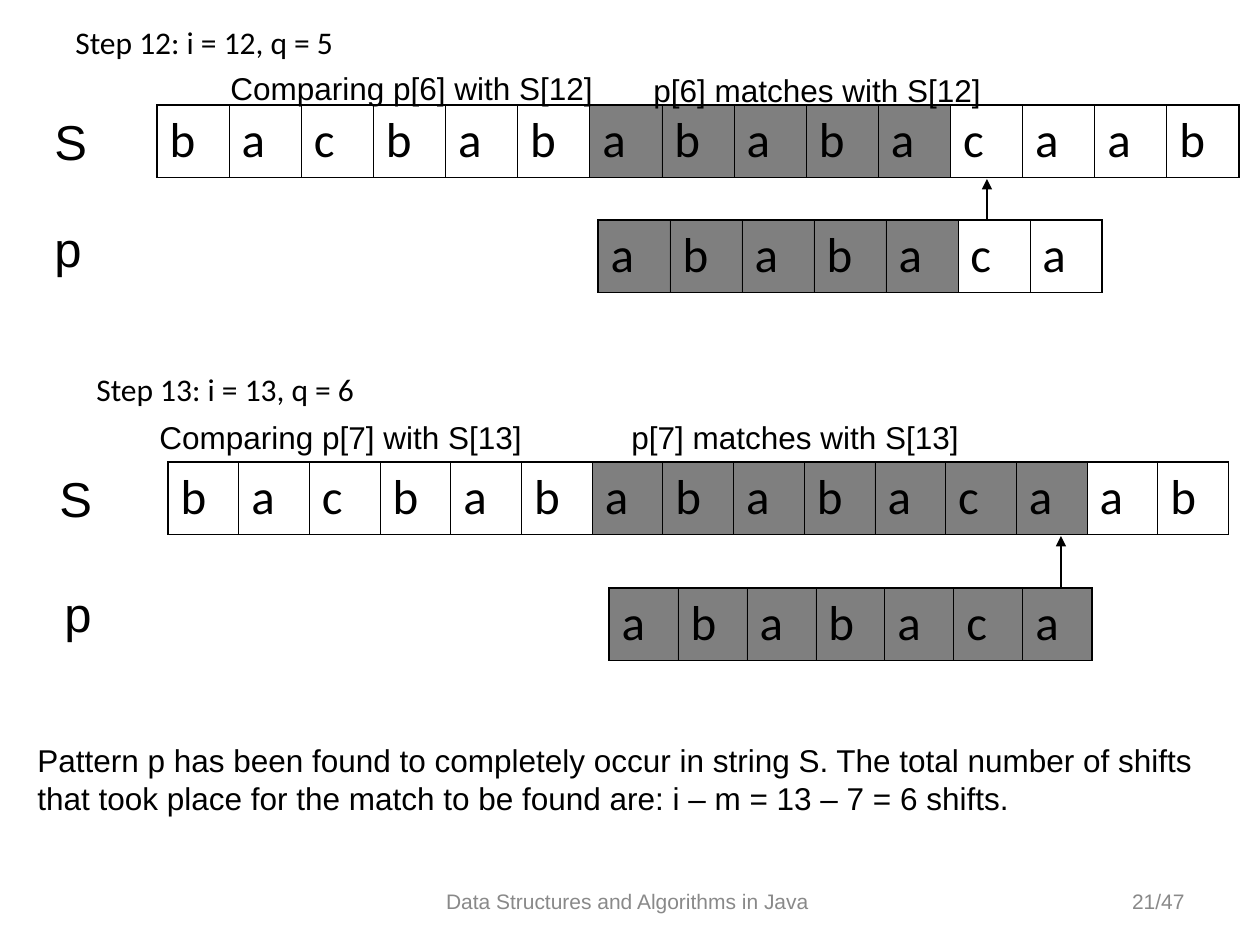
from dataclasses import dataclass

from lxml.etree import SubElement
from pptx import Presentation
from pptx.dml.color import RGBColor
from pptx.enum.shapes import MSO_CONNECTOR
from pptx.enum.text import MSO_ANCHOR, MSO_AUTO_SIZE, PP_ALIGN
from pptx.oxml.ns import qn
from pptx.slide import Slide
from pptx.util import Emu, Pt

PX_PER_INCH = 126
CELL_HEIGHT = 72
BLACK = "000000"
GRAY = "898989"


@dataclass
class Label:
    text: str
    left: int
    top: int
    width: int
    height: int
    size: int = 18
    font: str = "Arial"
    color: str = BLACK
    align: PP_ALIGN = PP_ALIGN.LEFT
    anchor: MSO_ANCHOR = MSO_ANCHOR.TOP
    wrap: bool = False
    line_spacing: float = 1.0
    space_before: float = 0


@dataclass
class LetterRow:
    letters: str
    left: int
    top: int
    width: int
    shaded: range


@dataclass
class Arrow:
    x: int
    start: int
    end: int


def px(length: float) -> Emu:
    return Emu(round(length * 914400 / PX_PER_INCH))


def rgb(color: str) -> RGBColor:
    return RGBColor.from_string(color)


def step_title(text: str, left: int, top: int) -> Label:
    return Label(text, left, top, 567, 32, font="Calibri", wrap=True,
                 line_spacing=0.9, space_before=4.5)


def comparison(text: str, left: int, top: int) -> Label:
    return Label(text, left, top, 396, 50)


def outcome(text: str, left: int, top: int) -> Label:
    return Label(text, left, top, 360, 50)


def row_name(text: str, left: int, top: int) -> Label:
    return Label(text, left, top, 60, 72, size=28)


def footer(text: str, left: int, width: int, align: PP_ALIGN) -> Label:
    return Label(text, left, 876, width, 50, size=12, color=GRAY,
                 align=align, anchor=MSO_ANCHOR.MIDDLE, wrap=True)


LABELS = [
    footer("Data Structures and Algorithms in Java", 428, 399, PP_ALIGN.CENTER),
    footer("21/47", 903, 294, PP_ALIGN.RIGHT),
    step_title("Step 12: i = 12, q = 5", 63, 21),
    comparison("Comparing p[6] with S[12]", 218, 63),
    outcome("p[6] matches with S[12]", 641, 65),
    row_name("S", 42, 105),
    row_name("p", 42, 212),
    step_title("Step 13: i = 13, q = 6", 84, 368),
    comparison("Comparing p[7] with S[13]", 147, 412),
    outcome("p[7] matches with S[13]", 619, 412),
    row_name("S", 47, 462),
    row_name("p", 52, 577),
    Label("Pattern p has been found to completely occur in string S. "
          "The total number of shifts\n"
          "that took place for the match to be found are: "
          "i – m = 13 – 7 = 6 shifts.", 25, 735, 1196, 88),
]

STRING = "bacbabababacaab"
PATTERN = "ababaca"
ROWS = [
    LetterRow(STRING, 157, 105, 1082, range(6, 11)),
    LetterRow(PATTERN, 598, 220, 504, range(0, 5)),
    LetterRow(STRING, 168, 462, 1061, range(6, 13)),
    LetterRow(PATTERN, 609, 588, 483, range(0, 7)),
]

ARROWS = [Arrow(987, 220, 179), Arrow(1061, 588, 536)]


def add_label(page: Slide, label: Label) -> None:
    box = page.shapes.add_textbox(px(label.left), px(label.top),
                                  px(label.width), px(label.height))
    frame = box.text_frame
    frame.word_wrap = True
    frame.auto_size = (MSO_AUTO_SIZE.NONE if label.wrap
                       else MSO_AUTO_SIZE.SHAPE_TO_FIT_TEXT)
    frame.vertical_anchor = label.anchor
    frame.text = label.text
    for para in frame.paragraphs:
        para.alignment = label.align
        para.line_spacing = label.line_spacing
        para.space_before = Pt(label.space_before)
        para.font.size = Pt(label.size)
        para.font.name = label.font
        para.font.color.rgb = rgb(label.color)


def set_borders(cell, widths: dict[str, float]) -> None:
    properties = cell._tc.get_or_add_tcPr()
    for position, (side, width) in enumerate(widths.items()):
        line = SubElement(properties, qn(f"a:ln{side}"), w=str(Pt(width)))
        fill = SubElement(line, qn("a:solidFill"))
        SubElement(fill, qn("a:srgbClr"), val=BLACK)
        properties.insert(position, line)


def shade(cell) -> None:
    cell.fill.solid()
    cell.fill.fore_color.rgb = rgb(BLACK)
    color = cell._tc.tcPr.find(f"{qn('a:solidFill')}/{qn('a:srgbClr')}")
    SubElement(color, qn("a:alpha"), val="50000")


def add_letter_row(page: Slide, row: LetterRow) -> None:
    count = len(row.letters)
    table = page.shapes.add_table(1, count, px(row.left), px(row.top),
                                  px(row.width), px(CELL_HEIGHT)).table
    table.first_row = False
    table.horz_banding = False
    for index, letter in enumerate(row.letters):
        table.columns[index].width = px(row.width / count)
        cell = table.cell(0, index)
        cell.text = letter
        para = cell.text_frame.paragraphs[0]
        para.space_before = Pt(7)
        para.font.size = Pt(28)
        para.font.name = "Calibri"
        para.font.color.rgb = rgb(BLACK)
        if index in row.shaded:
            shade(cell)
        else:
            cell.fill.background()
        set_borders(cell, {"L": 1.08 if index == 0 else 0.45,
                           "R": 1.08 if index == count - 1 else 0.45,
                           "T": 1.08, "B": 1.08})


def add_arrow(page: Slide, arrow: Arrow) -> None:
    connector = page.shapes.add_connector(
        MSO_CONNECTOR.STRAIGHT, px(arrow.x), px(arrow.start),
        px(arrow.x), px(arrow.end))
    connector.line.color.rgb = rgb(BLACK)
    connector.line.width = Pt(0.75)
    SubElement(connector.line._get_or_add_ln(), qn("a:tailEnd"), type="triangle")
    SubElement(connector._element.spPr, qn("a:effectLst"))


def main() -> None:
    deck = Presentation()
    deck.slide_width = px(1260)
    deck.slide_height = px(945)
    page = deck.slides.add_slide(deck.slide_layouts[6])
    for row in ROWS:
        add_letter_row(page, row)
    for label in LABELS:
        add_label(page, label)
    for arrow in ARROWS:
        add_arrow(page, arrow)
    deck.save("out.pptx")


if __name__ == "__main__":
    main()
